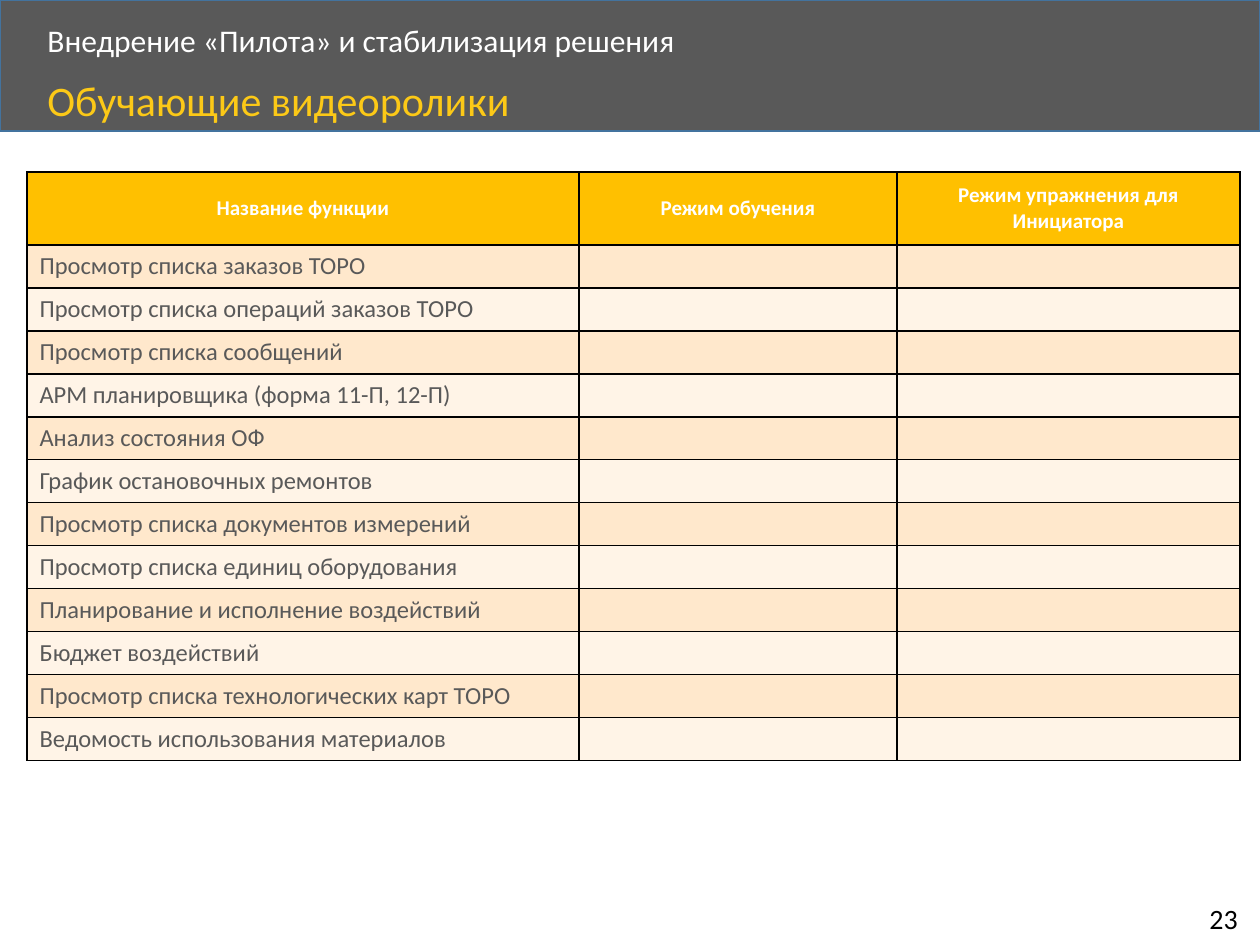
from dataclasses import dataclass

from lxml.etree import SubElement
from pptx import Presentation
from pptx.dml.color import RGBColor
from pptx.enum.shapes import MSO_SHAPE as Shape
from pptx.enum.text import MSO_ANCHOR as Anchor, PP_ALIGN as Align
from pptx.oxml.ns import qn
from pptx.util import Emu, Pt

SCALE = 914400 / 126  # EMU per px
FONT = "Calibri"
GREY, WHITE, BLACK, GOLD = "595959", "FFFFFF", "000000", "FFC000"
BANDS = ("FFE8CC", "FFF4E7")


@dataclass
class Label:
    text: str
    left: int
    top: int
    width: int
    height: int
    size: int
    color: str
    anchor: Anchor = Anchor.TOP
    wrap: bool = True
    spacing: float = 1.0


LABELS = [
    Label("Внедрение «Пилота» и стабилизация решения", 35, 18, 1017, 48,
          18, WHITE, Anchor.MIDDLE, spacing=0.9),
    Label("23", 1197, 895, 58, 47, 16, BLACK, wrap=False),
    Label("Обучающие видеоролики", 35, 74, 1092, 57, 24, "FCC917", spacing=0.9),
]
COLS = (552, 318, 343)
HEAD_H, ROW_H = 73, 43
HEADS = ("Название функции", "Режим обучения", "Режим упражнения для Инициатора")
ITEMS = (
    "Просмотр списка заказов ТОРО",
    "Просмотр списка операций заказов ТОРО",
    "Просмотр списка сообщений",
    "АРМ планировщика (форма 11-П, 12-П)",
    "Анализ состояния ОФ",
    "График остановочных ремонтов",
    "Просмотр списка документов измерений",
    "Просмотр списка единиц оборудования",
    "Планирование и исполнение воздействий",
    "Бюджет воздействий",
    "Просмотр списка технологических карт ТОРО",
    "Ведомость использования материалов",
)


def px(n: int) -> Emu:
    return Emu(round(n * SCALE))


def paint(target, color: str) -> None:
    target.solid()
    target.fore_color.rgb = RGBColor.from_string(color)


def style(para, size: int, color: str, bold: bool = False) -> None:
    font = para.font
    font.name, font.size, font.bold = FONT, Pt(size), bold
    font.color.rgb = RGBColor.from_string(color)


def add_label(slide, item: Label) -> None:
    box = slide.shapes.add_textbox(
        px(item.left), px(item.top), px(item.width), px(item.height))
    frame = box.text_frame
    frame.word_wrap = item.wrap
    frame.vertical_anchor = item.anchor
    para = frame.paragraphs[0]
    para.text = item.text
    para.line_spacing = item.spacing
    style(para, item.size, item.color)


def add_borders(cell) -> None:
    props = cell._tc.get_or_add_tcPr()
    for i, side in enumerate(("lnL", "lnR", "lnT", "lnB")):
        line = SubElement(props, qn(f"a:{side}"), w=str(Pt(1)))
        props.insert(i, line)  # borders come before the fill
        fill = SubElement(line, qn("a:solidFill"))
        SubElement(fill, qn("a:srgbClr"), val=BLACK)


def fill_cell(cell, text: str, head: bool, color: str) -> None:
    paint(cell.fill, color)
    add_borders(cell)
    cell.vertical_anchor = Anchor.MIDDLE
    para = cell.text_frame.paragraphs[0]
    if text:
        para.text = text
    else:
        cell.margin_top = cell.margin_bottom = 0
    if head:
        para.alignment = Align.CENTER
        style(para, 12, WHITE, True)
    else:
        style(para, 14, GREY)


def add_grid(slide, left: int, top: int) -> None:
    rows = [HEADS] + [(item, "", "") for item in ITEMS]
    height = HEAD_H + ROW_H * len(ITEMS)
    grid = slide.shapes.add_table(
        len(rows), len(COLS), px(left), px(top), px(sum(COLS)), px(height)).table
    for col, width in zip(grid.columns, COLS):
        col.width = px(width)
    for r, row in enumerate(rows):
        head = r == 0
        grid.rows[r].height = px(HEAD_H if head else ROW_H)
        color = GOLD if head else BANDS[(r - 1) % 2]
        for c, text in enumerate(row):
            fill_cell(grid.cell(r, c), text, head, color)


def main() -> None:
    deck = Presentation()
    deck.slide_width, deck.slide_height = px(1260), px(945)
    slide = deck.slides.add_slide(deck.slide_layouts[6])

    # Header band
    band = slide.shapes.add_shape(Shape.RECTANGLE, 0, 0, px(1260), px(131))
    band.shadow.inherit = False
    paint(band.fill, GREY)
    paint(band.line.fill, "43739E")
    band.line.width = Pt(1)

    # Titles and page number
    for item in LABELS:
        add_label(slide, item)

    # Table of training videos
    add_grid(slide, 27, 172)
    deck.save("out.pptx")


if __name__ == "__main__":
    main()
